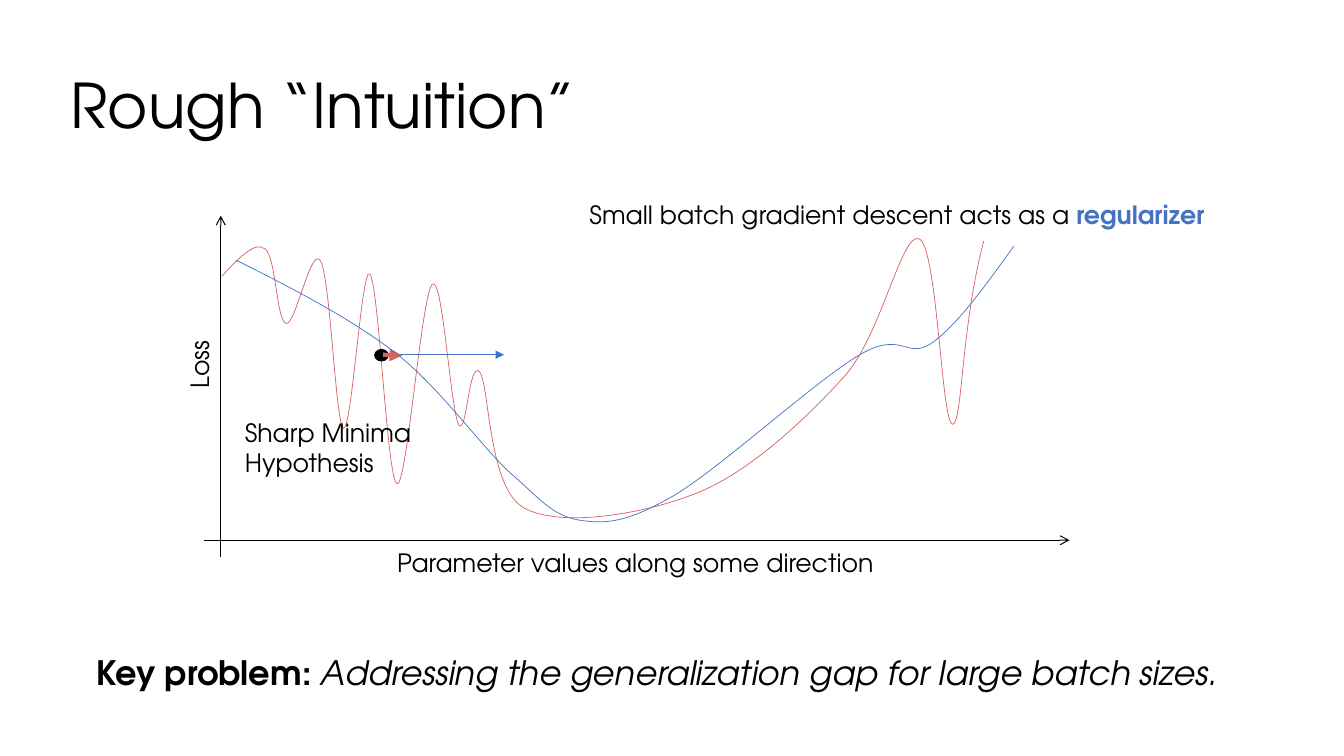
import lxml.etree
import pptx
import pptx.dml.color
import pptx.enum.shapes
import pptx.enum.text
import pptx.oxml.ns
import pptx.util

Pt = pptx.util.Pt
qn = pptx.oxml.ns.qn

BLACK, BLUE, RED = "000000", "4472C4", "D9615F"

# Start point, then two control points and an end point for each curve
SHARP_LOSS = [
    (158.4, 197.3),
    (171.4, 183.6), (182.2, 172.1), (189.4, 177.8),
    (197.3, 183.6), (197.3, 229), (204.5, 231.1),
    (211, 232.6), (222.5, 174.2), (229, 186.5),
    (236.2, 199.4), (239.8, 304.6), (245.5, 306),
    (251.3, 307.4), (258.5, 188.6), (264.2, 195.8),
    (270.7, 202.3), (276.5, 344.2), (283.7, 345.6),
    (290.9, 346.3), (301, 210.2), (308.9, 203),
    (316.1, 195.8), (321.8, 292.3), (327.6, 303.1),
    (333.4, 313.2), (334.8, 256.3), (342.7, 265.7),
    (349.9, 275.8), (348.5, 348.5), (374.4, 362.9),
    (401, 377.3), (461.5, 367.2), (499.7, 351.4),
    (537.8, 335.5), (577.4, 297.4), (604.1, 267.8),
    (630, 237.6), (644.4, 164.9), (656.6, 170.6),
    (669.6, 176.4), (672.5, 302.4), (680.4, 303.1),
    (687.6, 303.1), (686.2, 234.7), (702.7, 172.1),
]
SMOOTH_LOSS = [
    (168.5, 185.8),
    (208.8, 205.9), (249.1, 226.8), (281.5, 251.3),
    (313.9, 276.5), (342, 316.8), (363.6, 337),
    (385.9, 356.4), (393.8, 367.9), (413.3, 371.5),
    (432.7, 374.4), (447.1, 373.7), (481, 354.2),
    (514.1, 334.8), (583.2, 271.4), (614.2, 253.4),
    (645.1, 235.4), (647.3, 257.8), (666, 244.8),
    (684, 231.8), (704.2, 203.8), (724.3, 175.7),
]


def rgb(hex_string):
    return pptx.dml.color.RGBColor.from_string(hex_string)


class Painter:
    """Draws styled elements on one page; all lengths are points."""

    font = "TeX Gyre Adventor"

    def __init__(self, page):
        self.page = page

    def style_line(self, line, color, width):
        line.color.rgb = rgb(color)
        line.width = Pt(width)

    def text(self, left, top, width, height, lines, size=18):
        """Add a text box; each line is a list of (words, font settings)."""
        box = self.page.shapes.add_textbox(Pt(left), Pt(top), Pt(width), Pt(height))
        box.text_frame.word_wrap = False
        para = box.text_frame.paragraphs[0]
        for number, line in enumerate(lines):
            if number:
                para.add_line_break()
            for words, settings in line:
                span = para.add_run()
                span.text = words
                span.font.name = self.font
                span.font.size = Pt(size)
                span.font.bold = settings.get("bold", False)
                span.font.italic = settings.get("italic", False)
                span.font.color.rgb = rgb(settings.get("color", BLACK))
        return box

    def title(self, left, top, width, height, words):
        box = self.text(left, top, width, height, [[(words, {})]], size=44)
        box.text_frame.word_wrap = True
        box.text_frame.vertical_anchor = pptx.enum.text.MSO_ANCHOR.MIDDLE
        box.text_frame.paragraphs[0].line_spacing = 0.9

    def arrow(self, start, end, color, width, head):
        ends = [Pt(value) for value in (*start, *end)]
        arrow = self.page.shapes.add_connector(
            pptx.enum.shapes.MSO_CONNECTOR.STRAIGHT, *ends)
        self.style_line(arrow.line, color, width)
        properties = arrow.element.spPr
        lxml.etree.SubElement(properties.find(qn("a:ln")), qn("a:tailEnd"), type=head)
        lxml.etree.SubElement(properties, qn("a:effectLst"))

    def dot(self, left, top, width, height, color):
        dot = self.page.shapes.add_shape(
            pptx.enum.shapes.MSO_SHAPE.OVAL, Pt(left), Pt(top), Pt(width), Pt(height))
        dot.shadow.inherit = False
        dot.fill.solid()
        dot.fill.fore_color.rgb = rgb(color)
        self.style_line(dot.line, color, 1)

    def curve(self, points, color):
        """Add an open outline and turn each three segments into one Bezier curve."""
        start, *rest = [(Pt(x), Pt(y)) for x, y in points]
        builder = self.page.shapes.build_freeform(*start)
        builder.add_line_segments(rest, close=False)
        outline = builder.convert_to_shape()
        outline.shadow.inherit = False
        outline.fill.background()
        self.style_line(outline.line, color, 0.5)
        segments = list(outline.element.iter(qn("a:lnTo")))
        track = segments[0].getparent()
        for first in range(0, len(segments), 3):
            bezier = lxml.etree.SubElement(track, qn("a:cubicBezTo"))
            for segment in segments[first:first + 3]:
                bezier.append(segment[0])
                track.remove(segment)


def main():
    deck = pptx.Presentation()
    deck.slide_width, deck.slide_height = Pt(960), Pt(540)
    painter = Painter(deck.slides.add_slide(deck.slide_layouts[6]))

    painter.title(43.2, 25.2, 850.3, 104.4, "Rough “Intuition”")
    painter.curve(SHARP_LOSS, RED)
    painter.arrow((145.4, 385.9), (763.9, 385.9), BLACK, 0.75, "arrow")
    painter.arrow((157.7, 398.2), (157.7, 154.1), BLACK, 0.75, "arrow")
    painter.text(276.5, 387.4, 361.4, 29,
                 [[("Parameter values along some direction", {})]])
    loss_label = painter.text(118.1, 245.5, 49, 29, [[("Loss", {})]])
    loss_label.rotation = 270

    painter.dot(267.8, 249.8, 9.4, 7.9, BLACK)
    painter.arrow((273.6, 253.4), (360, 253.4), BLUE, 1, "triangle")
    painter.arrow((273.6, 253.4), (287.3, 254), RED, 3, "triangle")
    painter.text(167.8, 294.5, 139.7, 51,
                 [[("Sharp Minima ", {})], [("Hypothesis", {})]])
    painter.text(414, 139, 463.7, 29,
                 [[("Small batch gradient descent acts as a ", {}),
                   ("regularizer", {"bold": True, "color": BLUE})]])
    painter.curve(SMOOTH_LOSS, BLUE)
    painter.text(61.9, 462.2, 835.9, 36,
                 [[("Key problem: ", {"bold": True}),
                   ("Addressing the generalization gap for large batch sizes.",
                    {"italic": True})]], size=24)
    deck.save("out.pptx")


if __name__ == "__main__":
    main()
